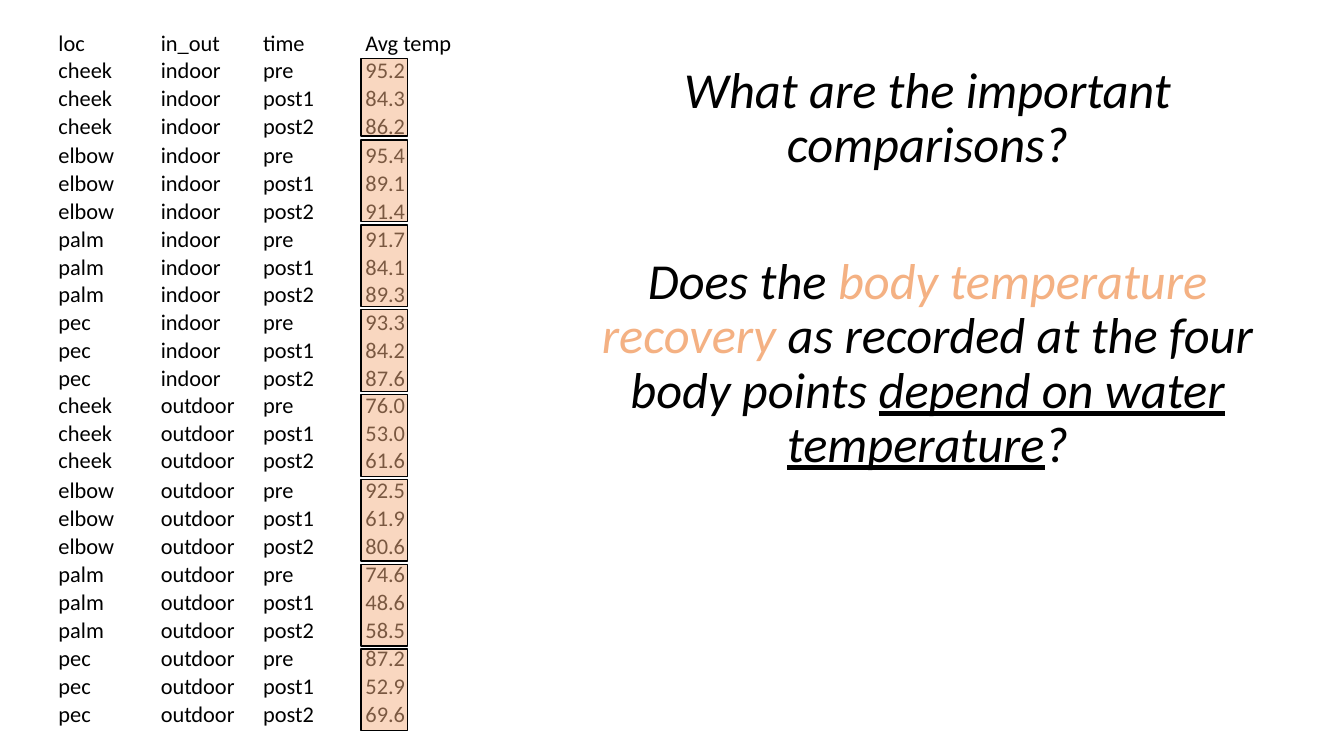
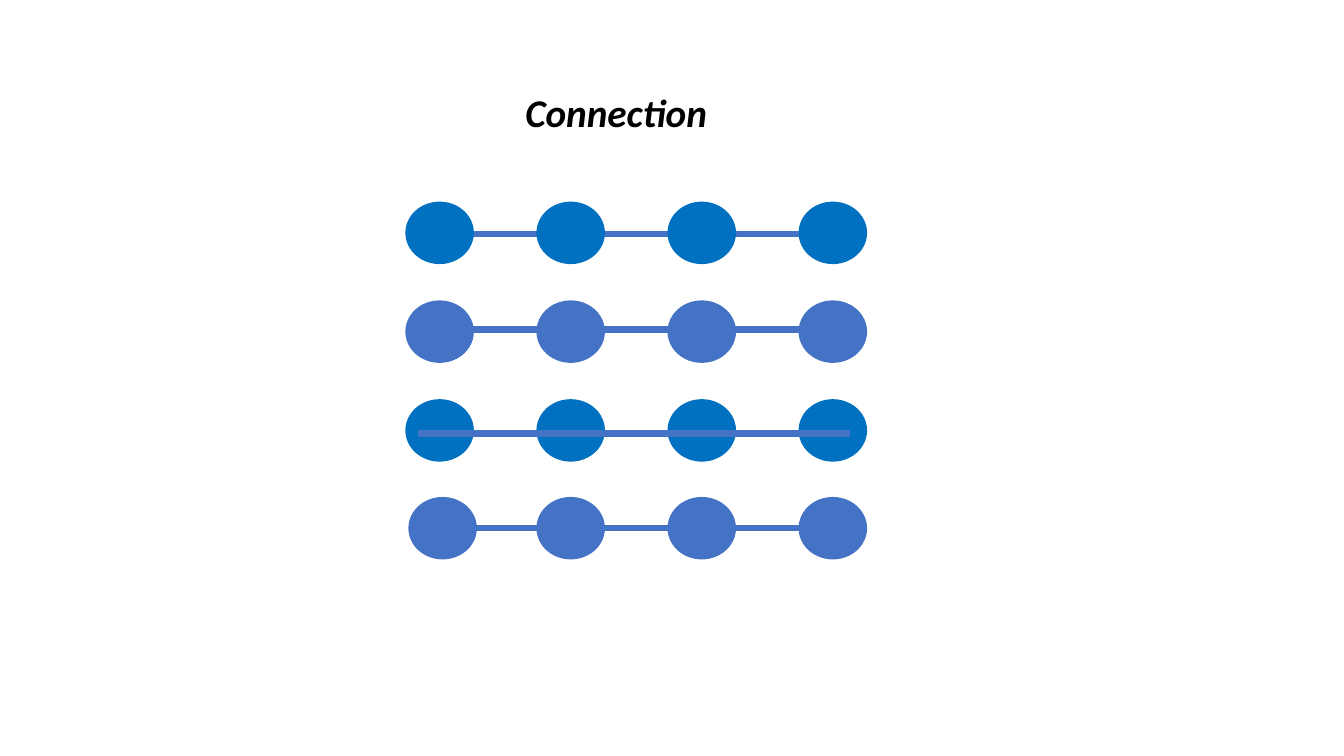
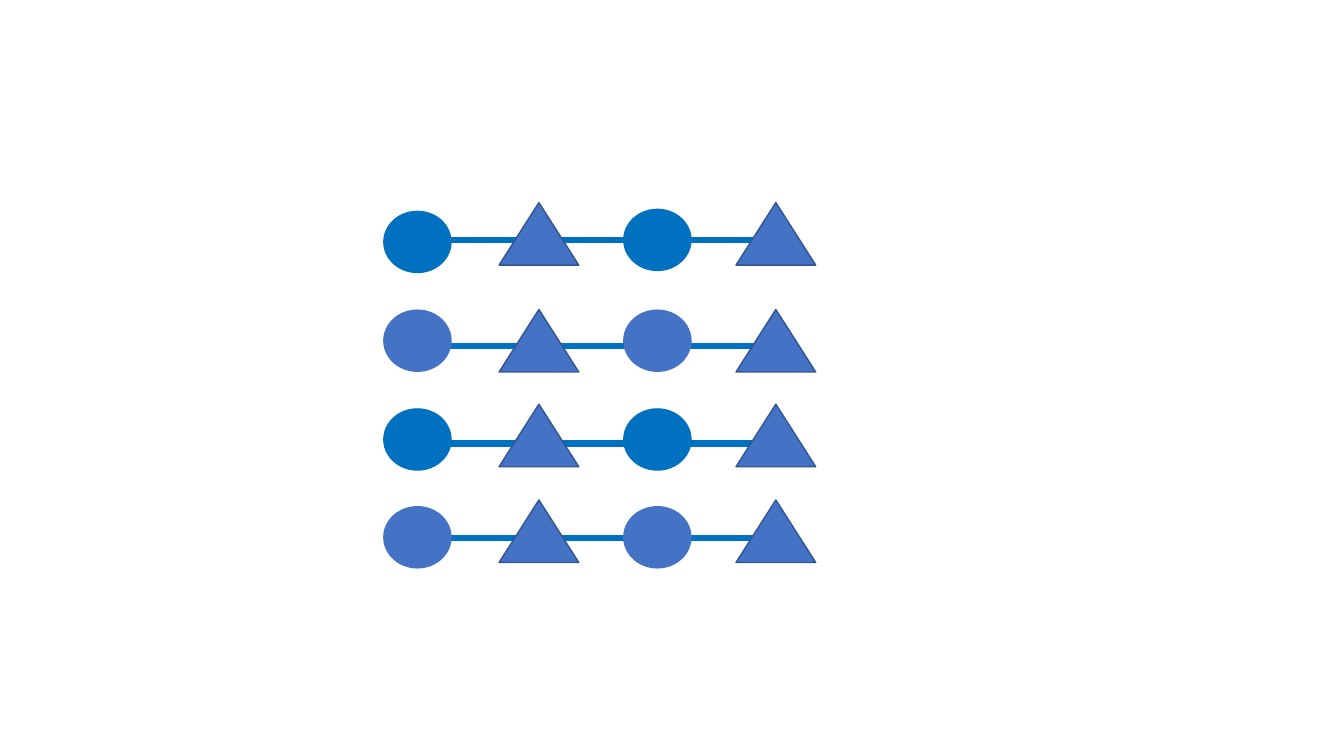
from lxml.etree import SubElement
from pptx import Presentation
from pptx.dml.color import RGBColor
from pptx.enum.shapes import MSO_CONNECTOR, MSO_SHAPE
from pptx.enum.text import MSO_ANCHOR, MSO_AUTO_SIZE, PP_ALIGN
from pptx.oxml.ns import qn
from pptx.util import Inches, Pt

BLACK = RGBColor(0x00, 0x00, 0x00)
PEACH = RGBColor(0xF4, 0xB1, 0x83)
BLUE = RGBColor(0x00, 0x70, 0xC0)
SLATE = RGBColor(0x44, 0x72, 0xC4)
NAVY = RGBColor(0x32, 0x54, 0x91)
FONT = "Calibri"
RECT = MSO_SHAPE.RECTANGLE
OVAL = MSO_SHAPE.OVAL
PEAK = MSO_SHAPE.ISOSCELES_TRIANGLE
LINE = MSO_CONNECTOR.STRAIGHT
TOP, BOTTOM = MSO_ANCHOR.TOP, MSO_ANCHOR.BOTTOM
LEFT, CENTER = PP_ALIGN.LEFT, PP_ALIGN.CENTER
FIXED, GROW = MSO_AUTO_SIZE.NONE, MSO_AUTO_SIZE.SHAPE_TO_FIT_TEXT
LISTED, TITLED, BLANK = 1, 5, 6

HEAD = ["loc", "in_out", "time", "Avg temp"]
TIMES = ["pre", "post1", "post2"]
TEMPS = {
    ("cheek", "indoor"): ["95.2", "84.3", "86.2"],
    ("elbow", "indoor"): ["95.4", "89.1", "91.4"],
    ("palm", "indoor"): ["91.7", "84.1", "89.3"],
    ("pec", "indoor"): ["93.3", "84.2", "87.6"],
    ("cheek", "outdoor"): ["76.0", "53.0", "61.6"],
    ("elbow", "outdoor"): ["92.5", "61.9", "80.6"],
    ("palm", "outdoor"): ["74.6", "48.6", "58.5"],
    ("pec", "outdoor"): ["87.2", "52.9", "69.6"],
}


class Deck:
    """Holds the shared style and the current slide."""

    def __init__(self):
        self.prs = Presentation()
        self.prs.slide_width = Inches(13.33)
        self.prs.slide_height = Inches(7.5)
        self.slide = None

    def add(self, kind):
        self.slide = self.prs.slides.add_slide(self.prs.slide_layouts[kind])

    def style(self, run, size, color=BLACK, bold=False, italic=False, under=False):
        font = run.font
        font.name, font.size, font.color.rgb = FONT, Pt(size), color
        font.bold, font.italic, font.underline = bold, italic, under

    def place(self, shape, left, top, width, height):
        shape.left, shape.top = Inches(left), Inches(top)
        shape.width, shape.height = Inches(width), Inches(height)

    def title(self, text, *box):
        shape = self.slide.shapes.title
        self.place(shape, *box)
        frame = shape.text_frame
        frame.text = text
        frame.word_wrap, frame.auto_size = False, GROW
        frame.vertical_anchor = TOP
        frame.paragraphs[0].alignment = LEFT
        self.style(frame.paragraphs[0].runs[0], 28, bold=True, italic=True)

    def body(self, paras, *box):
        title = self.slide.shapes.title.element
        title.getparent().remove(title)
        shape = self.slide.placeholders[1]
        self.place(shape, *box)
        frame = shape.text_frame
        frame.word_wrap, frame.auto_size = True, FIXED
        for i, (before, parts) in enumerate(paras):
            para = frame.add_paragraph() if i else frame.paragraphs[0]
            para.alignment, para.line_spacing = CENTER, 0.9
            para.space_before = Pt(before)
            props = para._p.get_or_add_pPr()
            props.set("marL", "0")
            props.set("indent", "0")
            SubElement(props, qn("a:buNone"))
            for text, color, under in parts:
                run = para.add_run()
                run.text = text
                self.style(run, 36, color, italic=True, under=under)

    def table(self, rows, top):
        table = self.slide.shapes.add_table(
            len(rows), len(HEAD), Inches(0.57), Inches(top),
            Inches(4.06), Inches(0.22 * len(rows))).table
        table.first_row = table.horz_banding = False
        for line, texts in zip(table.rows, rows):
            for cell, text in zip(line.cells, texts):
                self.fill(cell, text)

    def fill(self, cell, text):
        cell.fill.background()
        cell.vertical_anchor = BOTTOM
        cell.margin_left = cell.margin_right = Inches(0.01)
        cell.margin_top, cell.margin_bottom = Pt(0.4), 0
        para = cell.text_frame.paragraphs[0]
        if text:
            para.text = text
            self.style(para.runs[0], 16)
        else:
            SubElement(para._p, qn("a:endParaRPr")).set("sz", "1600")

    def shape(self, kind, box, color, edge=None, alpha=None):
        shape = self.slide.shapes.add_shape(kind, *map(Inches, box))
        shape.shadow.inherit = False
        shape.fill.solid()
        shape.fill.fore_color.rgb = color
        if alpha:
            tint = shape._element.spPr.find(qn("a:solidFill"))[0]
            SubElement(tint, qn("a:alpha")).set("val", str(alpha * 1000))
        if edge is None:
            shape.line.fill.background()
        else:
            shape.line.color.rgb, shape.line.width = edge, Pt(1)

    def link(self, left, right, y, color):
        line = self.slide.shapes.add_connector(
            LINE, Inches(left), Inches(y), Inches(right), Inches(y))
        line.line.color.rgb, line.line.width = color, Pt(4.5)
        SubElement(line._element.spPr, qn("a:effectLst"))

    def dot(self, left, top, row):
        self.shape(OVAL, (left, top, 0.68, 0.62), SLATE if row % 2 else BLUE)


def temps(deck):
    deck.add(LISTED)
    deck.body([
        (10, [("What are the important comparisons?", BLACK, False)]),
        (59, [("Does the ", BLACK, False),
              ("body temperature recovery", PEACH, False),
              (" as recorded at the four body points ", BLACK, False),
              ("depend on water temperature", BLACK, True),
              ("?", BLACK, False)]),
    ], 5.44, 0.59, 7.52, 5.69)
    main, cheeks = [HEAD], []
    for (loc, water), values in TEMPS.items():
        rows = [[loc, water, time, value] for time, value in zip(TIMES, values)]
        if loc == "cheek":
            cheeks.append(rows)
            rows = [[""] * len(HEAD)] * len(rows)
        main += rows
    deck.table(main, 0.29)
    for rows, top in zip(cheeks, (0.56, 3.88)):
        deck.table(rows, top)
    step = (6.44 - 1.39) / 6
    bands = [(0.58, 0.77)] + [(1.39 + step * i, 0.81) for i in range(7)]
    for top, height in bands:
        deck.shape(RECT, (3.58, top, 0.46, height), PEACH, BLACK, 50)


def chains(deck):
    deck.add(TITLED)
    deck.title("Connection", 5.11, 0.83, 2.03, 0.57)
    deck.link(4.05, 8.2, 2.32, SLATE)
    for row, top in enumerate((2, 2.98, 3.96, 4.93)):
        for col in range(4):
            nudge = 0.03 if (row, col) == (3, 0) else 0
            deck.dot(4.02 + 1.3 * col + nudge, top, row)
    for left, y in ((4.15, 3.27), (4.15, 4.3), (4.3, 5.24)):
        deck.link(left, 8.43, y, SLATE)


def mixed(deck):
    deck.add(BLANK)
    for left, y in ((3.84, 2.38), (4.05, 3.43), (4.05, 4.4), (4.05, 5.34)):
        deck.link(left, left + 3.79, y, BLUE)
    for left, first in ((3.8, 2.09), (6.18, 2.07)):
        for row, top in enumerate((first, 3.07, 4.05, 5.02)):
            deck.dot(left, top, row)
    for left in (4.95, 7.3):
        for top in (2.01, 3.07, 4.01, 4.96):
            deck.shape(PEAK, (left, top, 0.79, 0.62), SLATE, NAVY)


def main():
    deck = Deck()
    temps(deck)
    chains(deck)
    mixed(deck)
    deck.prs.save("out.pptx")


if __name__ == "__main__":
    main()
